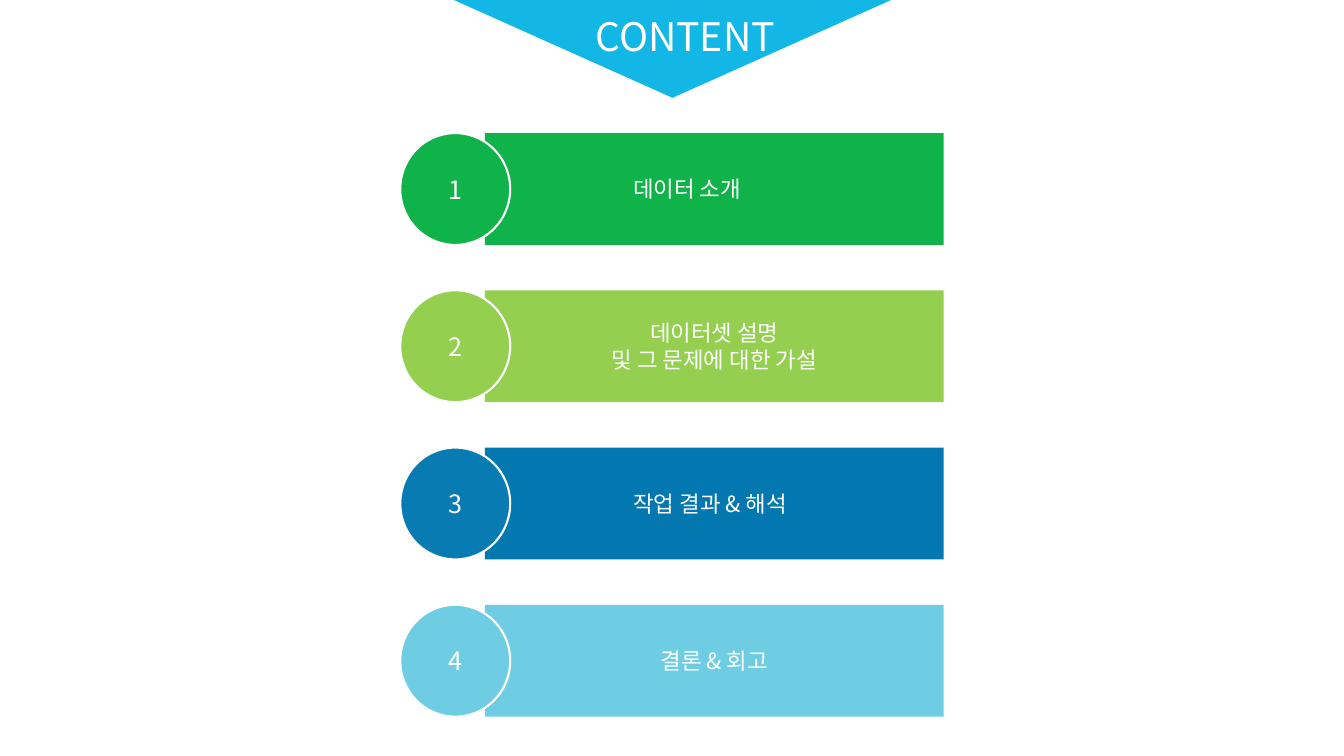
from pptx import Presentation
from pptx.dml.color import RGBColor
from pptx.enum.shapes import MSO_SHAPE
from pptx.enum.text import MSO_ANCHOR, MSO_AUTO_SIZE, PP_ALIGN
from pptx.oxml.ns import qn
from pptx.util import Inches, Pt
from lxml import etree

RECTANGLE = MSO_SHAPE.RECTANGLE
OVAL = MSO_SHAPE.OVAL
TRIANGLE = MSO_SHAPE.ISOSCELES_TRIANGLE
MIDDLE = MSO_ANCHOR.MIDDLE
CENTER = PP_ALIGN.CENTER
NO_AUTOFIT = MSO_AUTO_SIZE.NONE
TITLE_ONLY = 5
FONT = "Noto Sans CJK KR"
WHITE = "FFFFFF"

ROW_HEIGHT = 1.11
ROW_PITCH = 1.56
BADGE_WIDTH = 1.09
BAR_OFFSET = 0.84

# label lines, bar colour, badge colour, extra right inset
SECTIONS = [
    (["데이터 소개"], "10B349", "10B349", 0.54),
    (["데이터셋 설명", "및 그 문제에 대한 가설"], "94CF50", "94CF50", 0),
    (["작업 결과 & 해석"], "0377B0", "087BB2", 0.08),
    (["결론 & 회고"], "6ECDE2", "6ECDE2", 0),
]


def color(hex_value):
    """Turn a hex string into a colour."""
    return RGBColor.from_string(hex_value)


def write_lines(shape, lines, size):
    """Write centred white lines in the middle of a shape."""
    frame = shape.text_frame
    frame.word_wrap = True
    frame.auto_size = NO_AUTOFIT
    frame.vertical_anchor = MIDDLE
    for index, line in enumerate(lines):
        paragraph = frame.add_paragraph() if index else frame.paragraphs[0]
        paragraph.alignment = CENTER
        run = paragraph.add_run()
        run.text = line
        run.font.size = Pt(size)
        run.font.name = FONT
        run.font.color.rgb = color(WHITE)
        east_asian = etree.SubElement(run.font._element, qn("a:ea"))
        east_asian.set("typeface", FONT)


def add_block(slide, kind, left, top, width, height, fill):
    """Add a flat shape without outline."""
    shape = slide.shapes.add_shape(
        kind, Inches(left), Inches(top), Inches(width), Inches(height))
    shape.shadow.inherit = False
    shape.fill.solid()
    shape.fill.fore_color.rgb = color(fill)
    shape.line.fill.background()
    return shape


def add_header(slide, left, top, width, height):
    """Place the title over a triangle that points down."""
    triangle = add_block(slide, TRIANGLE, left, top, width, height, "12B7E5")
    triangle.rotation = 180
    title = slide.shapes.title
    title.element.addprevious(triangle.element)
    title.left, title.top = Inches(left + 1.27), Inches(top + 0.08)
    title.width, title.height = Inches(2.09), Inches(0.57)
    write_lines(title, ["CONTENT"], 28)


def add_section(slide, left, top, width, number, section):
    """Place one coloured bar with its numbered badge."""
    lines, bar_fill, badge_fill, inset = section
    bar = add_block(slide, RECTANGLE, left + BAR_OFFSET, top,
                    width - BAR_OFFSET, ROW_HEIGHT, bar_fill)
    bar.text_frame.margin_right = Inches(0.1 + inset)
    write_lines(bar, lines, 16)
    badge = add_block(slide, OVAL, left, top, BADGE_WIDTH, ROW_HEIGHT, badge_fill)
    badge.line.color.rgb = color(WHITE)
    badge.line.width = Pt(1.5)
    write_lines(badge, [str(number)], 18)


def main():
    """Build and save the contents slide."""
    presentation = Presentation()
    presentation.slide_width = Inches(13.33)
    presentation.slide_height = Inches(7.5)
    slide = presentation.slides.add_slide(presentation.slide_layouts[TITLE_ONLY])
    add_header(slide, 4.48, -0.01, 4.38, 0.98)
    for index, section in enumerate(SECTIONS):
        add_section(slide, 3.97, 1.32 + index * ROW_PITCH, 5.39, index + 1, section)
    presentation.save("out.pptx")


if __name__ == "__main__":
    main()
